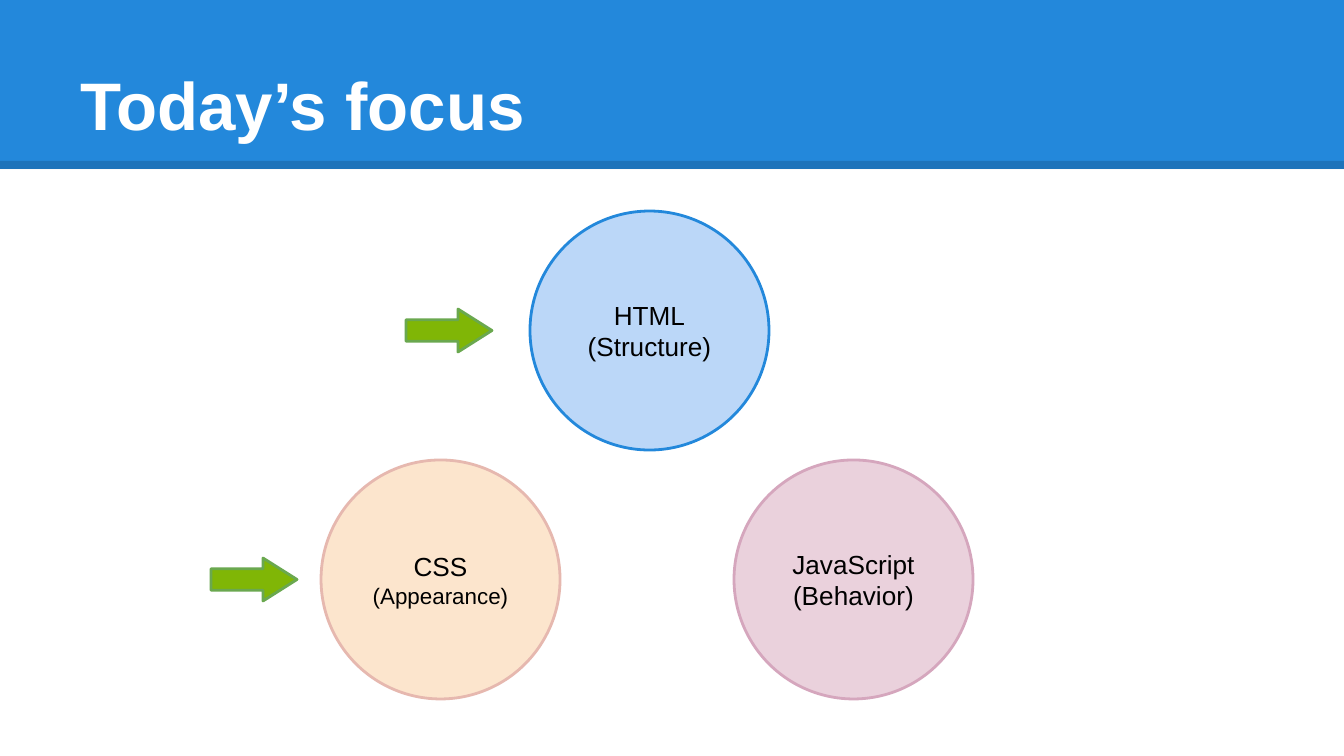
import pptx
import pptx.dml.color
import pptx.enum.shapes
import pptx.enum.text
import pptx.oxml
import pptx.oxml.ns
import pptx.util
from lxml import etree

TITLE = "Today’s focus"
CIRCLE = 239
ARROW_WIDTH, ARROW_HEIGHT = 86, 43
# left, top, fill, outline, lines as (text, size), gap to the arrow on the left
TOPICS = [
    (734, 460, "EAD1DC", "D5A6BD", [("JavaScript", 14), ("(Behavior)", 14)], None),
    (530, 211, "BBD7F8", "2388DB", [("HTML", 14), ("(Structure)", 14)], 38),
    (321, 460, "FCE5CD", "E6B8AF", [("CSS", 14), ("(Appearance)", 12)], 24),
]

WIDTH, HEIGHT = 1344, 756
BAND_HEIGHT, RULE_TOP = 169, 165
EMU_PER_PX = 914400 / 134.4
SHAPES = pptx.enum.shapes.MSO_SHAPE
ANCHOR = pptx.enum.text.MSO_ANCHOR
ALIGN = pptx.enum.text.PP_ALIGN


def px(length):
    return pptx.util.Emu(round(length * EMU_PER_PX))


def color(value):
    return pptx.dml.color.RGBColor.from_string(value)


def add_shape(page, kind, left, top, width, height, fill, line=None):
    shape = page.shapes.add_shape(kind, px(left), px(top), px(width), px(height))
    shape.shadow.inherit = False
    shape.fill.solid()
    shape.fill.fore_color.rgb = color(fill)
    if line:
        shape.line.color.rgb = color(line)
        shape.line.width = pptx.util.Pt(1.5)
    else:
        shape.line.fill.background()
    return shape


def write(shape, lines, font_color="000000", bold=False,
          align=ALIGN.CENTER, anchor=ANCHOR.MIDDLE):
    frame = shape.text_frame
    frame.word_wrap = True
    frame.auto_size = pptx.enum.text.MSO_AUTO_SIZE.NONE
    frame.vertical_anchor = anchor
    frame.margin_left = frame.margin_right = pptx.util.Inches(0.1)
    frame.margin_top = frame.margin_bottom = pptx.util.Inches(0.1)
    for index, (text, size) in enumerate(lines):
        para = frame.add_paragraph() if index else frame.paragraphs[0]
        para.alignment = align
        span = para.add_run()
        span.text = text
        span.font.name = "Arial"
        span.font.size = pptx.util.Pt(size)
        span.font.bold = bold
        span.font.color.rgb = color(font_color)


def add_rule(page):
    """Add the translucent dark line along the foot of the band."""
    rule = page.shapes.add_connector(
        pptx.enum.shapes.MSO_CONNECTOR.STRAIGHT, 0, px(RULE_TOP), px(WIDTH), px(RULE_TOP))
    rule.line.width = pptx.util.Pt(4.5)
    rule.line.color.rgb = color("000000")
    qn = pptx.oxml.ns.qn
    tint = rule.element.spPr.find(".//" + qn("a:srgbClr"))
    etree.SubElement(tint, qn("a:alpha"), val="15000")
    etree.SubElement(rule.element.spPr, qn("a:effectLst"))
    return rule


def add_header(page):
    title = page.shapes.title
    title.left, title.top, title.width, title.height = map(px, (67, 31, 1210, 126))
    write(title, [(TITLE, 36)], font_color="FFFFFF", bold=True,
          align=ALIGN.LEFT, anchor=ANCHOR.BOTTOM)
    band = add_shape(page, SHAPES.RECTANGLE, 0, 0, WIDTH, BAND_HEIGHT, "2388DB")
    for backdrop in (band, add_rule(page)):
        title.element.addprevious(backdrop.element)


def add_topic(page, left, top, fill, line, lines, arrow_gap):
    circle = add_shape(page, SHAPES.OVAL, left, top, CIRCLE, CIRCLE, fill, line)
    write(circle, lines)
    if arrow_gap is not None:
        arrow = add_shape(page, SHAPES.RIGHT_ARROW, left - arrow_gap - ARROW_WIDTH,
                          top + (CIRCLE - ARROW_HEIGHT) / 2,
                          ARROW_WIDTH, ARROW_HEIGHT, "80B606", "6AA84F")
        arrow.adjustments[0] = 0.5
        arrow.adjustments[1] = 0.79


def main():
    deck = pptx.Presentation()
    deck.slide_width, deck.slide_height = px(WIDTH), px(HEIGHT)
    page = deck.slides.add_slide(deck.slide_layouts.get_by_name("Title Only"))
    add_header(page)
    for topic in TOPICS:
        add_topic(page, *topic)
    deck.save("out.pptx")


if __name__ == "__main__":
    main()
